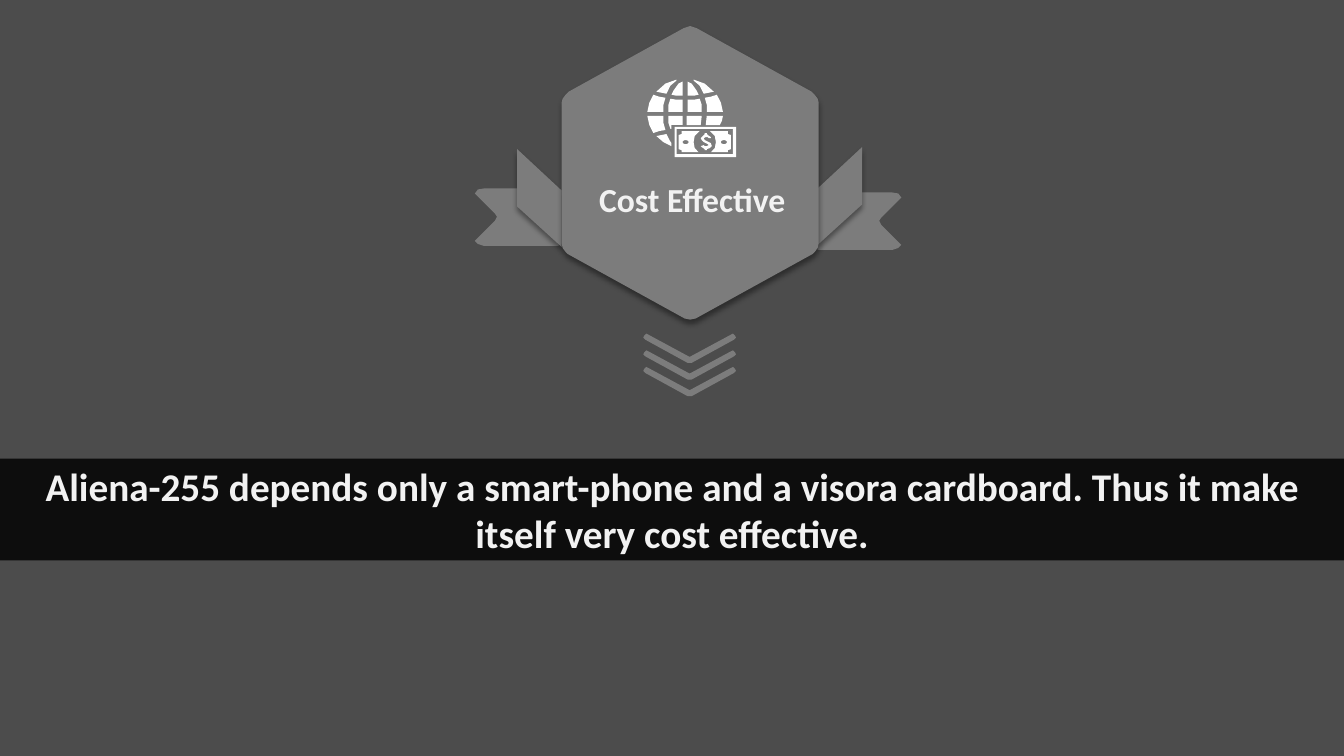
from lxml import etree
from math import cos, pi, sin

from pptx import Presentation
from pptx.dml.color import RGBColor
from pptx.enum.shapes import MSO_SHAPE
from pptx.enum.text import MSO_ANCHOR, PP_ALIGN
from pptx.oxml.ns import qn
from pptx.util import Inches, Pt

RECTANGLE = MSO_SHAPE.RECTANGLE
CENTER, MIDDLE = PP_ALIGN.CENTER, MSO_ANCHOR.MIDDLE

COLORS = {"background": "4C4C4C", "badge": "7C7C7C", "band": "0D0D0D",
          "text": "F2F2F2", "icon": "FFFFFF", "shadow": "000000"}

TITLE = "Cost Effective"
MESSAGE = ("Aliena-255 depends only a smart-phone and a visora cardboard. "
           "Thus it make itself very cost effective.")

# Twice the x of each mirror axis
TAIL_AXIS, FOLD_AXIS, HEXAGON_AXIS, CHEVRON_AXIS = 13.65, 13.68, 13.69, 13.68
GLOBE_AXIS, NOTE_AXIS = 13.59, 13.98
CHEVRON_COUNT, CHEVRON_STEP = 3, 0.165

RIBBON_TAIL = [(8.11, 1.91), (8.85, 1.91), (8.91, 1.92), (8.94, 1.96), (8.74, 2.16),
               (8.72, 2.19), (8.74, 2.23), (8.94, 2.43), (8.91, 2.46), (8.85, 2.48),
               (8.11, 2.48)]
RIBBON_FOLD = [(8.55, 1.46), (8.55, 2.03), (8.11, 2.43), (8.11, 1.87)]
HEXAGON_HALF = [(6.85, 0.26), (6.88, 0.27), (6.91, 0.28), (8.05, 0.91), (8.08, 0.94),
                (8.11, 0.98), (8.12, 1.02), (8.12, 2.41), (8.11, 2.46), (8.08, 2.5),
                (8.06, 2.52), (6.9, 3.16), (6.85, 3.17)]
CHEVRON_HALF = [(6.84, 3.54), (6.86, 3.53), (7.25, 3.32), (7.27, 3.31), (7.29, 3.33),
                (7.3, 3.35), (7.28, 3.37), (6.86, 3.6), (6.84, 3.6)]

GLOBE_UPPER_LEFT = [
    [(6.6, 0.97), (6.54, 0.96), (6.48, 0.94), (6.44, 1.02), (6.42, 1.11), (6.58, 1.11),
     (6.58, 1.04)],
    [(6.61, 0.93), (6.65, 0.85), (6.71, 0.8), (6.71, 0.79), (6.6, 0.83), (6.51, 0.91),
     (6.56, 0.92)],
    [(6.63, 1.11), (6.77, 1.11), (6.77, 0.99), (6.71, 0.99), (6.65, 0.98), (6.63, 1.04)],
    [(6.66, 0.94), (6.71, 0.95), (6.77, 0.95), (6.77, 0.81), (6.73, 0.83), (6.68, 0.9)],
]
GLOBE_LOWER = [
    [(6.58, 1.15), (6.42, 1.15), (6.44, 1.24), (6.48, 1.32), (6.54, 1.3), (6.6, 1.29),
     (6.58, 1.22)],
    [(6.61, 1.33), (6.56, 1.34), (6.51, 1.35), (6.58, 1.41), (6.66, 1.45), (6.66, 1.42),
     (6.64, 1.39)],
    [(6.77, 1.15), (6.63, 1.15), (6.63, 1.22), (6.65, 1.28), (6.66, 1.28), (6.66, 1.24),
     (6.77, 1.24)],
    [(6.96, 1.15), (6.81, 1.15), (6.81, 1.24), (6.95, 1.24)],
    [(7, 1.24), (7.14, 1.24), (7.16, 1.2), (7.17, 1.15), (7.01, 1.15)],
]
NOTE_FRAME = [[(6.69, 1.26), (6.69, 1.56), (7.3, 1.56), (7.3, 1.26)],
              [(6.71, 1.28), (7.27, 1.28), (7.27, 1.53), (6.71, 1.53)]]
NOTE_HALF = [(6.76, 1.51), (6.93, 1.51), (6.89, 1.47), (6.88, 1.41), (6.89, 1.35),
             (6.94, 1.3), (6.76, 1.3), (6.76, 1.33), (6.73, 1.34), (6.73, 1.48),
             (6.76, 1.49)]
NOTE_DOT = [(6.8 + 0.03 * cos(i * pi / 8), 1.41 + 0.02 * sin(i * pi / 8))
            for i in range(16)]
DOLLAR = [(7.01, 1.45), (6.99, 1.45), (6.98, 1.44), (6.95, 1.45), (6.96, 1.46),
          (6.99, 1.48), (6.99, 1.49), (7.01, 1.49), (7.01, 1.48), (7.04, 1.47),
          (7.06, 1.45), (7.05, 1.42), (7.01, 1.4), (6.99, 1.39), (6.98, 1.37),
          (7, 1.36), (7.02, 1.36), (7.03, 1.37), (7.05, 1.37), (7.05, 1.36),
          (7.02, 1.34), (7.01, 1.33), (7.01, 1.32), (6.99, 1.32), (6.99, 1.33),
          (6.97, 1.35), (6.95, 1.37), (6.96, 1.39), (6.98, 1.41), (7.02, 1.43),
          (7.03, 1.44)]


def color(name):
    return RGBColor.from_string(COLORS[name])


def mirror(points, axis, drop=0):
    return [(axis - x, y + drop) for x, y in points]


def symmetric(half, axis):
    return half + mirror(half, axis)[::-1]


def paint(shape, fill):
    shape.shadow.inherit = False
    shape.fill.solid()
    shape.fill.fore_color.rgb = color(fill)
    shape.line.fill.background()


def add_outline(shapes, fill, *contours):
    """Draw closed contours as one shape; later contours cut holes."""
    scaled = [[(Inches(x), Inches(y)) for x, y in contour] for contour in contours]
    builder = shapes.build_freeform(*scaled[0][0], scale=1.0)
    for index, points in enumerate(scaled):
        if index:
            builder.move_to(*points[0])
        builder.add_line_segments(points[1:], close=True)
    shape = builder.convert_to_shape()
    paint(shape, fill)
    return shape


def add_drop_shadow(shape):
    effects = shape._element.spPr.find(qn("a:effectLst"))
    shadow = etree.SubElement(effects, qn("a:outerShdw"), blurRad=str(Pt(4)),
                              dist=str(Pt(3)), dir="5400000", rotWithShape="0")
    tone = etree.SubElement(shadow, qn("a:srgbClr"), val=COLORS["shadow"])
    etree.SubElement(tone, qn("a:alpha"), val="40000")


def write(shape, text, size):
    frame = shape.text_frame
    frame_format = {"word_wrap": True, "vertical_anchor": MIDDLE,
                    "margin_left": Inches(0.07), "margin_right": Inches(0.07),
                    "margin_top": Inches(0.03), "margin_bottom": Inches(0.03)}
    for name, value in frame_format.items():
        setattr(frame, name, value)
    paragraph = frame.paragraphs[0]
    paragraph.text = text
    paragraph.alignment = CENTER
    font = paragraph.runs[0].font
    for name, value in {"name": "Calibri", "size": Pt(size), "bold": True}.items():
        setattr(font, name, value)
    font.color.rgb = color("text")


def add_badge(shapes):
    add_outline(shapes, "badge", RIBBON_TAIL)
    add_drop_shadow(add_outline(shapes, "badge", RIBBON_FOLD))
    add_outline(shapes, "badge", mirror(RIBBON_TAIL, TAIL_AXIS, -0.04))
    add_drop_shadow(add_outline(shapes, "badge", mirror(RIBBON_FOLD, FOLD_AXIS, 0.02)))
    add_drop_shadow(add_outline(shapes, "badge", symmetric(HEXAGON_HALF, HEXAGON_AXIS)))


def add_chevrons(shapes):
    chevron = symmetric(CHEVRON_HALF, CHEVRON_AXIS)
    for index in range(CHEVRON_COUNT):
        add_outline(shapes, "badge", [(x, y + index * CHEVRON_STEP) for x, y in chevron])


def add_money_icon(shapes):
    add_outline(shapes, "icon", DOLLAR)
    add_outline(shapes, "icon", *NOTE_FRAME)
    add_outline(shapes, "icon", NOTE_HALF, NOTE_DOT)
    add_outline(shapes, "icon", mirror(NOTE_HALF, NOTE_AXIS), mirror(NOTE_DOT, NOTE_AXIS))
    upper_right = [mirror(cell, GLOBE_AXIS) for cell in GLOBE_UPPER_LEFT]
    for cell in GLOBE_UPPER_LEFT + upper_right + GLOBE_LOWER:
        add_outline(shapes, "icon", cell)


def main():
    presentation = Presentation()
    presentation.slide_width, presentation.slide_height = Inches(13.33), Inches(7.5)
    slide = presentation.slides.add_slide(presentation.slide_layouts[6])
    slide.background.fill.solid()
    slide.background.fill.fore_color.rgb = color("background")
    shapes = slide.shapes

    add_badge(shapes)
    add_chevrons(shapes.add_group_shape().shapes)
    band = shapes.add_shape(RECTANGLE, 0, Inches(4.55), Inches(13.33), Inches(1.01))
    paint(band, "band")
    write(band, MESSAGE, 28)
    title = shapes.add_textbox(Inches(5.74), Inches(1.74), Inches(2.25), Inches(0.47))
    write(title, TITLE, 24)
    add_money_icon(shapes.add_group_shape().shapes)
    presentation.save("out.pptx")


if __name__ == "__main__":
    main()
